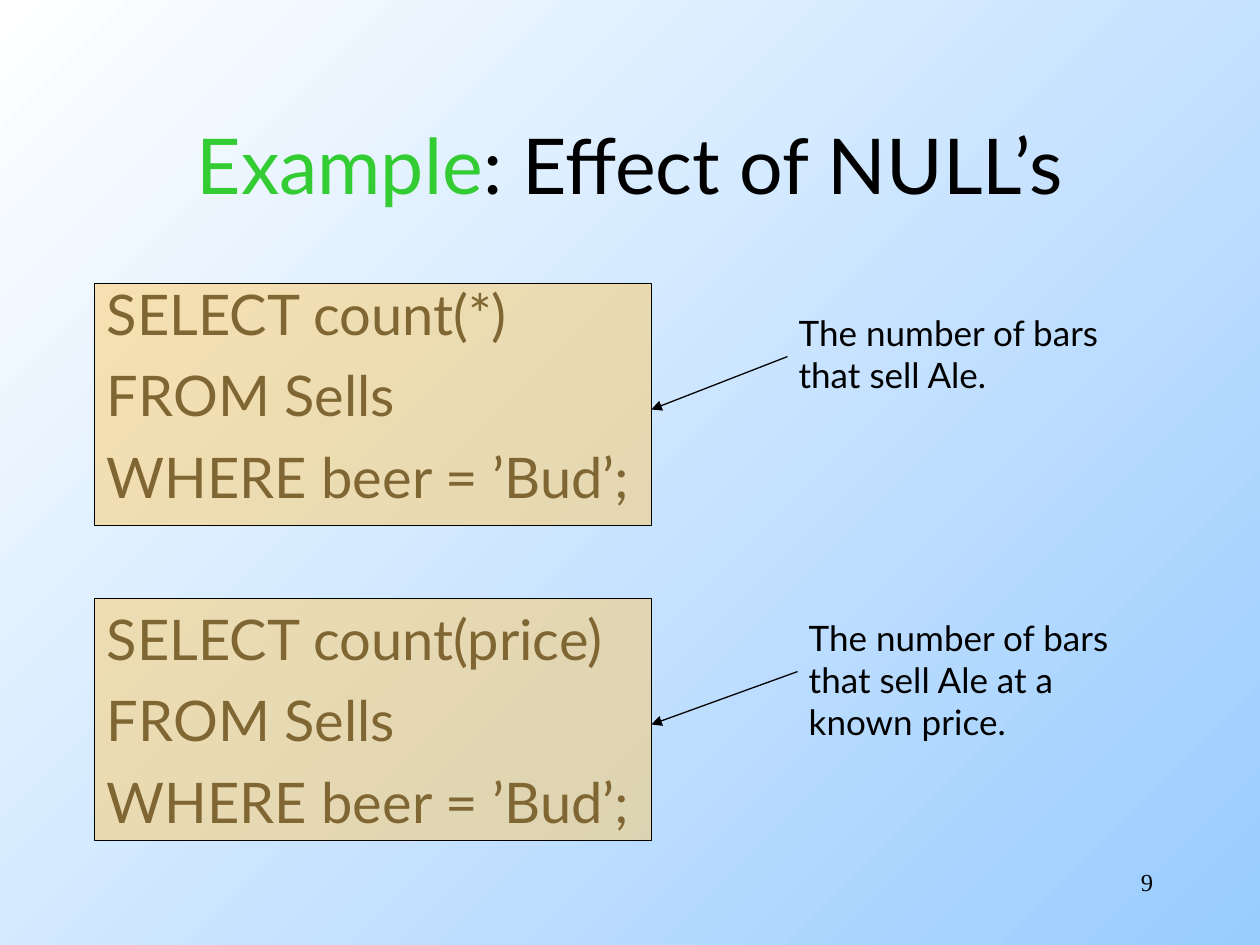
from dataclasses import dataclass

from lxml import etree
from pptx import Presentation
from pptx.dml.color import RGBColor
from pptx.enum import shapes, text
from pptx.oxml import ns
from pptx.util import Inches, Pt

COLORS = {
    "ink": "000000",
    "accent": "33CC33",
    "panel": "FFCC66",
    "sky_start": "FFFFFF",
    "sky_end": "99CCFF",
}
PANEL_LEFT, PANEL_WIDTH, PANEL_HEIGHT = 0.75, 4.42, 1.92
ARROW_RISE = 0.42


@dataclass
class Query:
    code: list[str]
    note: list[str]
    code_top: float
    panel_top: float
    note_left: float
    note_top: float
    note_height: float


QUERIES = [
    Query(
        ["SELECT count(*)", "FROM Sells", "WHERE beer = ’Bud’;"],
        ["The number of bars", "that sell Ale."],
        2.17, 2.25, 6.24, 2.42, 0.77,
    ),
    Query(
        ["SELECT count(price)", "FROM Sells", "WHERE beer = ’Bud’;"],
        ["The number of bars", "that sell Ale at a", "known price."],
        4.75, 4.75, 6.32, 4.84, 1.1,
    ),
]


def color(name: str) -> RGBColor:
    return RGBColor.from_string(COLORS[name])


def add_text(page, lines: list[str], left: float, top: float, width: float,
             height: float, size: int, font: str = "Lato", gap: int = 0,
             align=text.PP_ALIGN.LEFT, anchor=text.MSO_ANCHOR.TOP):
    box = page.shapes.add_textbox(
        Inches(left), Inches(top), Inches(width), Inches(height))
    frame = box.text_frame
    frame.word_wrap = True
    frame.vertical_anchor = anchor
    frame.text = "\n".join(lines)
    for index, para in enumerate(frame.paragraphs):
        para.alignment = align
        para.space_before = Pt(gap if index else 0)
        para.font.name = font
        para.font.size = Pt(size)
        para.font.color.rgb = color("ink")
    return box


def add_panel(page, top: float) -> None:
    panel = page.shapes.add_shape(
        shapes.MSO_SHAPE.RECTANGLE, Inches(PANEL_LEFT), Inches(top),
        Inches(PANEL_WIDTH), Inches(PANEL_HEIGHT))
    panel.shadow.inherit = False
    panel.fill.solid()
    panel.fill.fore_color.rgb = color("panel")
    fill = panel._element.spPr.find(ns.qn("a:solidFill"))
    etree.SubElement(fill[0], ns.qn("a:alpha"), val="50000")
    panel.line.color.rgb = color("ink")
    panel.line.width = Pt(0.75)


def add_arrow(page, start_x: float, end_x: float, end_y: float) -> None:
    arrow = page.shapes.add_connector(
        shapes.MSO_CONNECTOR.STRAIGHT, Inches(start_x),
        Inches(end_y - ARROW_RISE), Inches(end_x), Inches(end_y))
    arrow.line.color.rgb = color("ink")
    arrow.line.width = Pt(0.75)
    etree.SubElement(arrow.line._get_or_add_ln(), ns.qn("a:tailEnd"), type="triangle")
    etree.SubElement(arrow._element.spPr, ns.qn("a:effectLst"))


def add_query(page, query: Query) -> None:
    add_text(page, query.code, PANEL_LEFT, query.code_top, 8.5, 1.95, 32, gap=8)
    add_panel(page, query.panel_top)
    add_text(page, query.note, query.note_left, query.note_top, 2.79,
             query.note_height, 20)
    add_arrow(page, query.note_left + 0.01, PANEL_LEFT + PANEL_WIDTH,
              query.panel_top + 1)


def add_title(page) -> None:
    box = add_text(page, [""], 0.75, 0.67, 8.5, 1.25, 44,
                   align=text.PP_ALIGN.CENTER, anchor=text.MSO_ANCHOR.MIDDLE)
    para = box.text_frame.paragraphs[0]
    for words, name in (("Example", "accent"), (": Effect of NULL’s", "ink")):
        span = para.add_run()
        span.text = words
        span.font.color.rgb = color(name)


def paint_background(page) -> None:
    fill = page.background.fill
    fill.gradient()
    fill.gradient_angle = 315
    for stop, name in zip(fill.gradient_stops, ("sky_start", "sky_end")):
        stop.color.rgb = color(name)


def main() -> None:
    deck = Presentation()
    deck.slide_width, deck.slide_height = Inches(10), Inches(7.5)
    page = deck.slides.add_slide(deck.slide_layouts[6])
    paint_background(page)
    add_text(page, ["9"], 7.17, 6.83, 2.08, 0.5, 14, "Times New Roman",
             align=text.PP_ALIGN.RIGHT)
    add_title(page)
    for query in QUERIES:
        add_query(page, query)
    deck.save("out.pptx")


if __name__ == "__main__":
    main()
